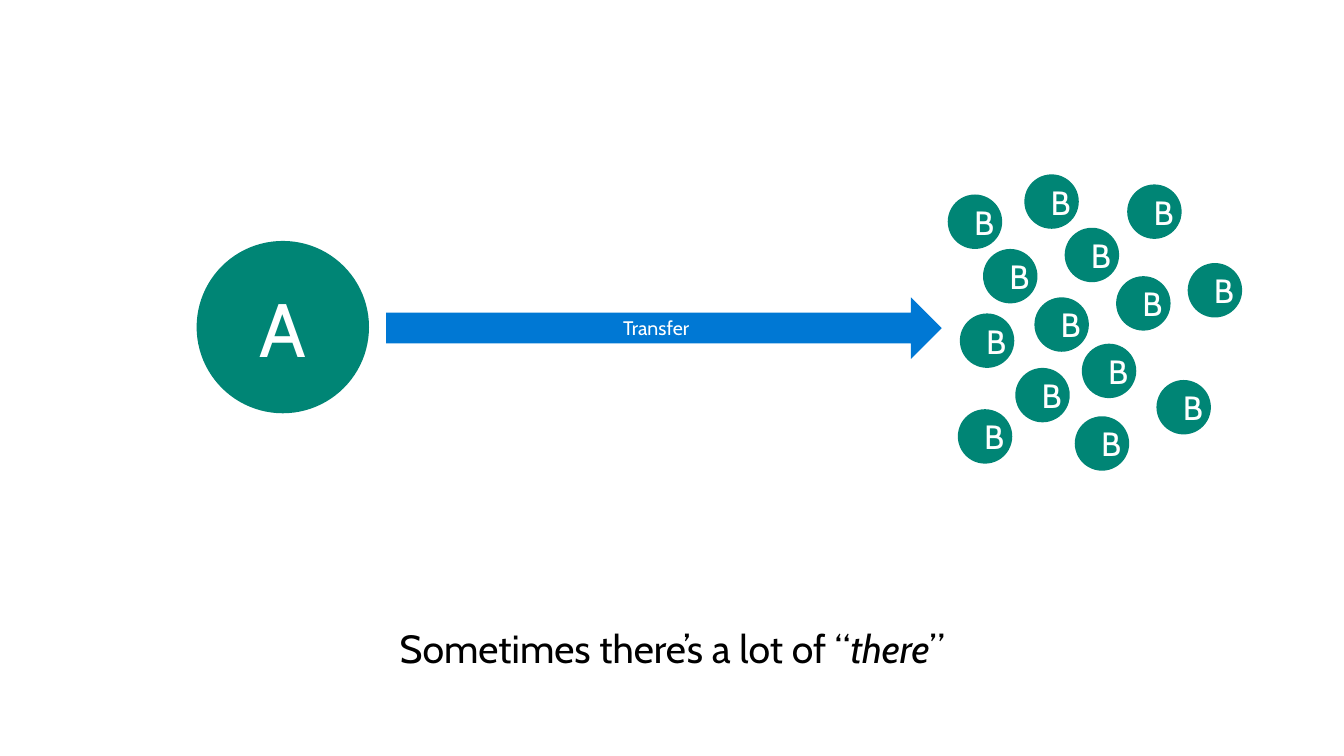
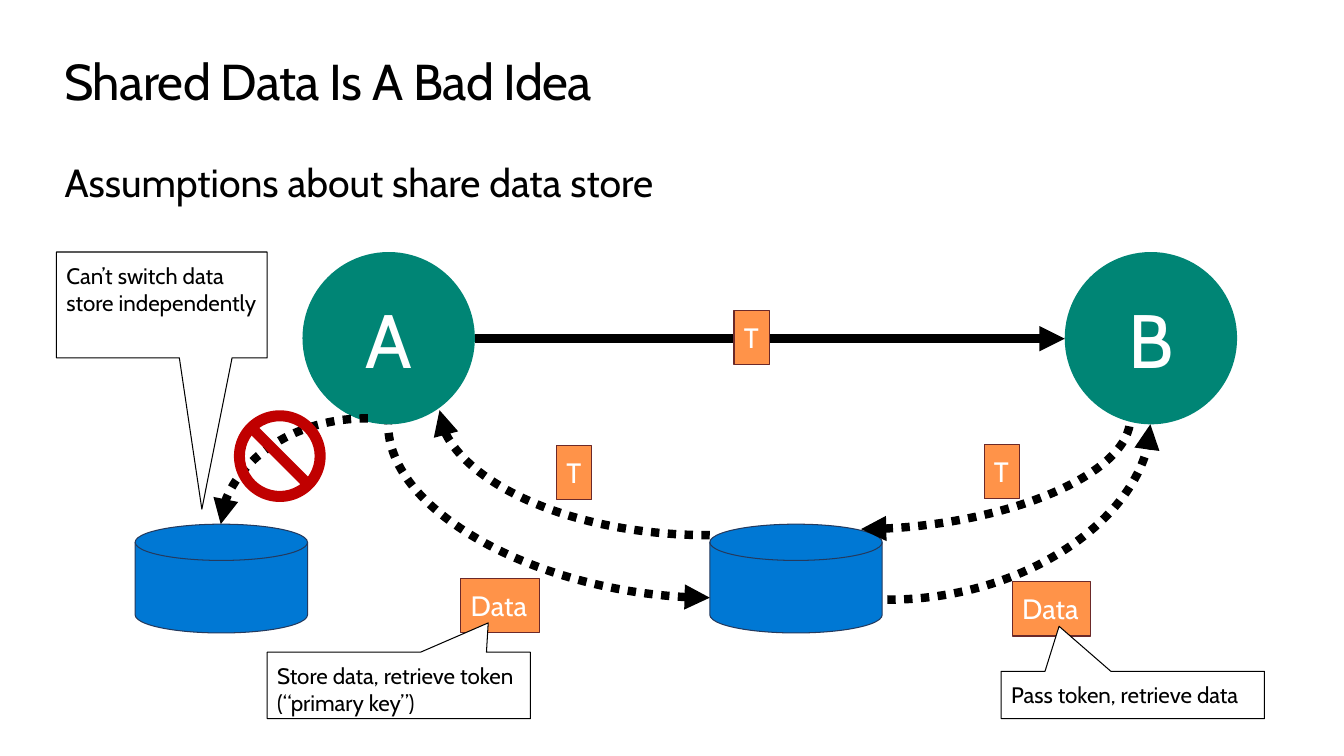
from dataclasses import dataclass
from typing import Optional

from lxml import etree
from pptx import Presentation
from pptx.dml.color import RGBColor
from pptx.enum.dml import MSO_LINE
from pptx.enum.shapes import MSO_CONNECTOR, MSO_SHAPE
from pptx.enum.text import MSO_ANCHOR, PP_ALIGN
from pptx.oxml.ns import qn
from pptx.util import Inches, Pt

FONT = "Cabin"
COLORS = {
    "black": "000000",
    "white": "FFFFFF",
    "service": "008575",
    "store": "0078D4",
    "store_edge": "243A5E",
    "token": "FF9349",
    "token_edge": "6B2929",
    "ban": "C00000",
}
SERVICE_SIZE = 1.71
TARGET_SIZE = 0.54
TARGETS = [
    (9.4, 1.93), (9.75, 2.47), (9.52, 3.11), (10.16, 1.73), (10.26, 2.95),
    (10.56, 2.26), (10.07, 3.65), (10.73, 3.41), (11.07, 2.74), (11.18, 1.83),
    (10.66, 4.13), (9.5, 4.06), (11.47, 3.77), (11.78, 2.61),
]


@dataclass
class Arrow:
    start: tuple[float, float]
    end: tuple[float, float]
    tip: str = "tailEnd"
    curved: bool = True


@dataclass
class Tag:
    text: str
    left: float
    top: float
    width: float = 0.35


@dataclass
class Callout:
    text: str
    box: tuple[float, float, float, float]
    pointer: tuple[float, float]


ARROWS = [
    Arrow((4.71, 3.36), (10.56, 3.36), curved=False),
    Arrow((7.04, 5.93), (3.85, 4.21), "headEnd"),
    Arrow((7.04, 5.31), (4.36, 4.07)),
    Arrow((8.54, 5.25), (11.21, 4.15), "headEnd"),
    Arrow((8.8, 5.95), (11.41, 4.21)),
    Arrow((3.65, 4.15), (2.19, 5.2)),
]
TAGS = [
    Tag("T", 7.28, 3.08),
    Tag("T", 9.76, 4.41),
    Tag("T", 5.52, 4.42),
    Tag("Data", 4.57, 5.74, 0.78),
    Tag("Data", 10.04, 5.77, 0.78),
]
CALLOUTS = [
    Callout("Can’t switch data store independently", (0.56, 2.5, 2.09, 1.05), (0.19, 1.93)),
    Callout("Store data, retrieve token (“primary key”)", (2.65, 6.47, 2.61, 0.66), (0.34, -0.94)),
    Callout("Pass token, retrieve data", (9.93, 6.66, 2.61, 0.47), (-0.28, -1.45)),
]


def rgb(name: str) -> RGBColor:
    return RGBColor.from_string(COLORS[name])


def style_text(tf, size: float, color: str, align=PP_ALIGN.LEFT,
               inset: tuple[float, float] = (0, 0), anchor=MSO_ANCHOR.TOP,
               wrap: bool = True) -> None:
    tf.word_wrap = wrap
    tf.vertical_anchor = anchor
    tf.margin_left = tf.margin_right = Inches(inset[0])
    tf.margin_top = tf.margin_bottom = Inches(inset[1])
    for p in tf.paragraphs:
        p.alignment = align
        for r in p.runs:
            r.font.name = FONT
            r.font.size = Pt(size)
            r.font.color.rgb = rgb(color)


def add_heading(s, text: str, top: float, height: float, size: float, align=PP_ALIGN.LEFT):
    sp = s.shapes.add_textbox(Inches(0.64), Inches(top), Inches(12.05), Inches(height))
    sp.text_frame.text = text
    style_text(sp.text_frame, size, "black", align)
    return sp.text_frame.paragraphs[0]


def add_figure(s, kind, box: tuple[float, float, float, float], fill: str,
               edge: Optional[str] = None):
    sp = s.shapes.add_shape(kind, *(Inches(v) for v in box))
    sp.shadow.inherit = False
    sp.fill.solid()
    sp.fill.fore_color.rgb = rgb(fill)
    if edge:
        sp.line.color.rgb = rgb(edge)
        sp.line.width = Pt(0.75)
    else:
        sp.line.fill.background()
    return sp


def add_labelled(s, kind, box: tuple[float, float, float, float], fill: str,
                 text: str, size: float) -> None:
    sp = add_figure(s, kind, box, fill)
    sp.text_frame.text = text
    style_text(sp.text_frame, size, "white", PP_ALIGN.CENTER, (0.2, 0.16), MSO_ANCHOR.MIDDLE)


def add_circle(s, text: str, left: float, top: float, side: float, size: float) -> None:
    add_labelled(s, MSO_SHAPE.OVAL, (left, top, side, side), "service", text, size)


def add_arrow(s, arrow: Arrow) -> None:
    kind = MSO_CONNECTOR.CURVE if arrow.curved else MSO_CONNECTOR.STRAIGHT
    sp = s.shapes.add_connector(kind, *(Inches(v) for v in arrow.start + arrow.end))
    sp.line.color.rgb = rgb("black")
    sp.line.width = Pt(6)
    props = sp.element.spPr
    if arrow.curved:
        sp.line.dash_style = MSO_LINE.ROUND_DOT
        props.find(qn("a:prstGeom")).set("prst", "curvedConnector2")
    etree.SubElement(props.find(qn("a:ln")), qn(f"a:{arrow.tip}"), type="triangle")
    etree.SubElement(props, qn("a:effectLst"))


def add_tag(s, tag: Tag) -> None:
    sp = add_figure(s, MSO_SHAPE.RECTANGLE, (tag.left, tag.top, tag.width, 0.54),
                    "token", "token_edge")
    sp.text_frame.text = tag.text
    style_text(sp.text_frame, 20, "white", inset=(0.1, 0.1), wrap=False)


def add_callout(s, callout: Callout) -> None:
    sp = add_figure(s, MSO_SHAPE.RECTANGULAR_CALLOUT, callout.box, "white", "black")
    sp.adjustments[0], sp.adjustments[1] = callout.pointer
    sp.text_frame.text = callout.text
    style_text(sp.text_frame, 16, "black", inset=(0.1, 0.1))


def build_transfer(s) -> None:
    p = add_heading(s, "Sometimes there’s a lot of “", 6.19, 0.47, 28, PP_ALIGN.CENTER)
    for text, italic in (("there", True), ("”", False)):
        r = p.add_run()
        r.text = text
        r.font.name = FONT
        r.font.size = Pt(28)
        r.font.color.rgb = rgb("black")
        r.font.italic = italic
    add_labelled(s, MSO_SHAPE.RIGHT_ARROW, (3.83, 2.95, 5.51, 0.61), "store", "Transfer", 14)
    add_circle(s, "A", 1.95, 2.39, SERVICE_SIZE, 54)
    for left, top in TARGETS:
        add_circle(s, "B", left, top, TARGET_SIZE, 24)


def build_shared_data(s) -> None:
    p = add_heading(s, "Shared Data Is A Bad Idea", 0.5, 0.61, 36)
    p.runs[0].font._element.set("spc", "-50")
    add_heading(s, "Assumptions about share data store", 1.57, 0.47, 28)
    for text, left in (("A", 3), ("B", 10.56)):
        add_circle(s, text, left, 2.5, SERVICE_SIZE, 54)
    for left in (1.34, 7.04):
        add_figure(s, MSO_SHAPE.FLOWCHART_MAGNETIC_DISK, (left, 5.2, SERVICE_SIZE, 1.08),
                   "store", "store_edge")
    for arrow in ARROWS:
        add_arrow(s, arrow)
    for tag in TAGS:
        add_tag(s, tag)
    ban = add_figure(s, MSO_SHAPE.NO_SYMBOL, (2.32, 4.07, 0.91, 0.91), "ban")
    ban.adjustments[0] = 0.12
    for callout in CALLOUTS:
        add_callout(s, callout)


def main() -> None:
    prs = Presentation()
    prs.slide_width = Inches(13.33)
    prs.slide_height = Inches(7.5)
    for build in (build_transfer, build_shared_data):
        build(prs.slides.add_slide(prs.slide_layouts[6]))
    prs.save("out.pptx")


if __name__ == "__main__":
    main()
